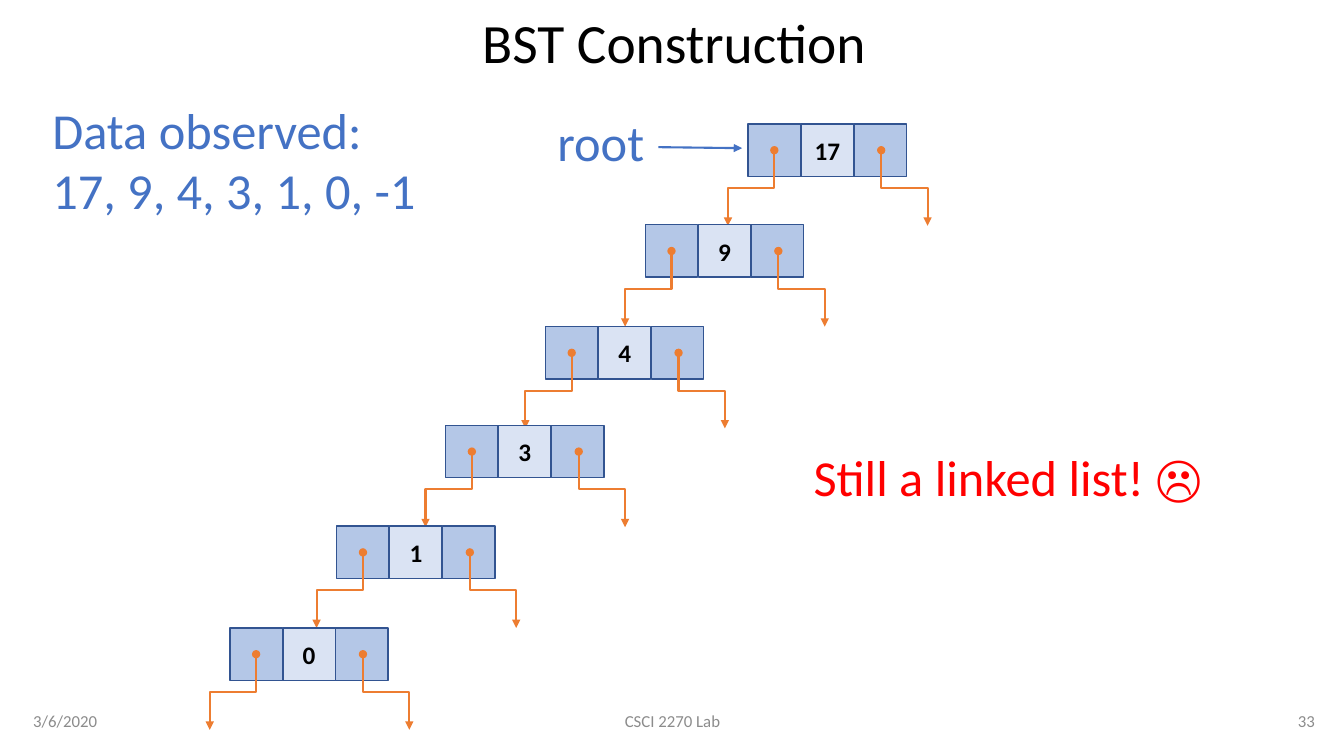
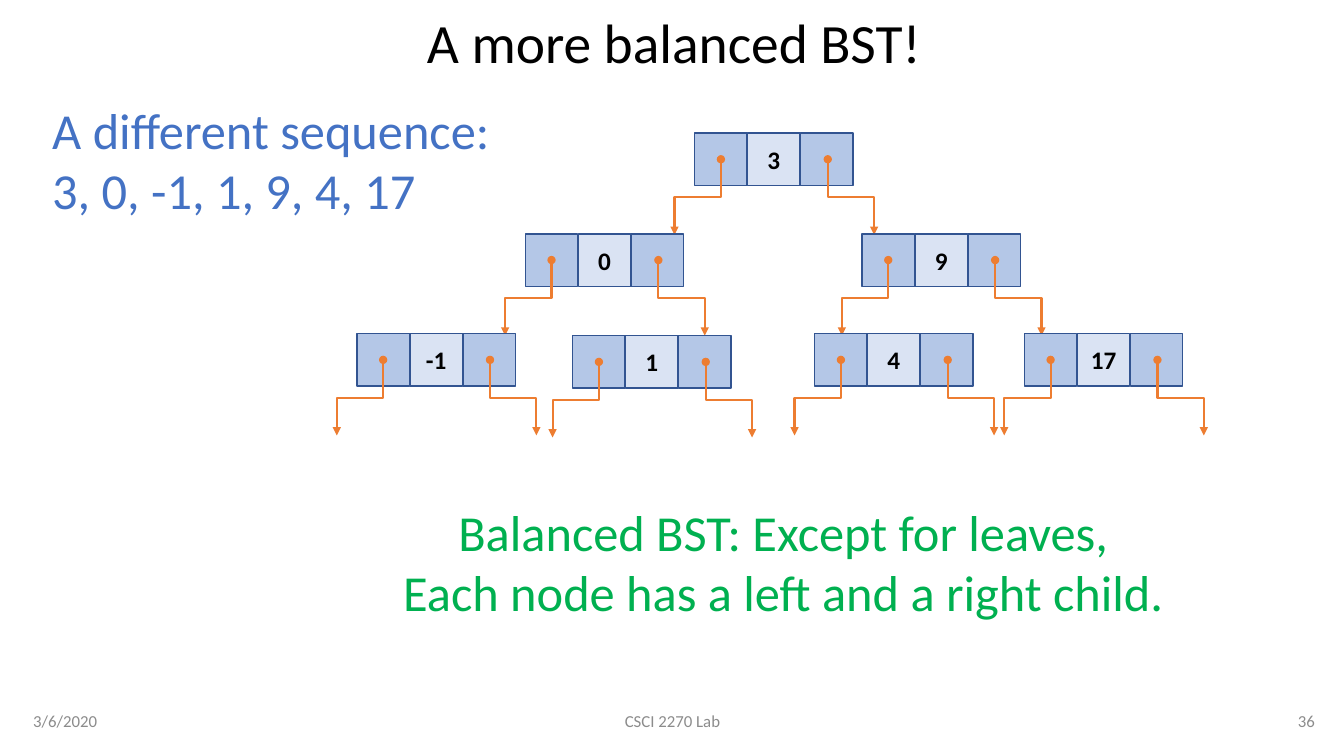
from lxml import etree
from pptx import Presentation
from pptx.dml.color import RGBColor
from pptx.enum.shapes import MSO_CONNECTOR as Connector, MSO_SHAPE as Shape
from pptx.enum.text import MSO_ANCHOR as Anchor, MSO_AUTO_SIZE as AutoSize, PP_ALIGN as Align
from pptx.oxml.ns import qn
from pptx.util import Inches, Pt

FONT = "Calibri"
BLACK, GREY, BLUE, RED, GREEN = "000000", "8C8C8C", "4472C4", "FF0000", "00B050"
POINTER_FILL, VALUE_FILL, CELL_LINE, LINK = "B4C7E7", "DAE3F3", "325491", "ED7D31"

CELL = 0.52        # side of one node cell
PITCH = 0.525      # distance between the left edges of neighbouring cells
LINK_WIDTH, LINK_HEIGHT = 0.46, 0.75
LINK_STARTS = 0.26, 1.32   # left and right pointer dots, from the node's left edge

CHAIN = [("17", 7.42, 1.23), ("9", 6.4, 2.23), ("4", 5.41, 3.24),
         ("3", 4.42, 4.22), ("1", 3.34, 5.22), ("0", 2.28, 6.23)]
BALANCED = [("3", 6.89, 1.32), ("0", 5.21, 2.32), ("9", 8.55, 2.32),
            ("-1", 3.54, 3.31), ("1", 5.68, 3.33), ("4", 8.08, 3.31), ("17", 10.16, 3.31)]


def color(hex_code):
    return RGBColor.from_string(hex_code)


def place(shape, left, top, width, height):
    shape.left, shape.top = Inches(left), Inches(top)
    shape.width, shape.height = Inches(width), Inches(height)


def write(frame, lines, size, hex_code, align=Align.LEFT, bold=False, spacing=None):
    for index, line in enumerate(lines):
        paragraph = frame.add_paragraph() if index else frame.paragraphs[0]
        paragraph.alignment = align
        paragraph.line_spacing = spacing
        run = paragraph.add_run()
        run.text = line
        run.font.name, run.font.size, run.font.bold = FONT, Pt(size), bold
        run.font.color.rgb = color(hex_code)


def add_text(slide, box, lines, size, hex_code, align=Align.LEFT, anchor=Anchor.TOP):
    frame = slide.shapes.add_textbox(*map(Inches, box)).text_frame
    frame.word_wrap = True
    frame.vertical_anchor = anchor
    write(frame, lines, size, hex_code, align)


def add_titled_slide(deck, title_text, number):
    """Add a slide with the shared title and footer."""
    slide = deck.slides.add_slide(deck.slide_layouts[5])
    title = slide.shapes.title
    place(title, 0.23, 0.15, 12.91, 0.6)
    title.text_frame.auto_size = AutoSize.NONE
    title.text_frame.vertical_anchor = Anchor.MIDDLE
    write(title.text_frame, [title_text], 39.6, BLACK, Align.CENTER, spacing=0.9)
    for text, left, width, align in (("3/6/2020", 0.23, 3, Align.LEFT),
                                     ("CSCI 2270 Lab", 4.42, 4.5, Align.CENTER),
                                     (number, 10.14, 3, Align.RIGHT)):
        add_text(slide, (left, 6.95, width, 0.4), [text], 12, GREY, align, Anchor.MIDDLE)
    return slide


def add_arrow(shapes, kind, start, end, hex_code, dot=False):
    arrow = shapes.add_connector(kind, *map(Inches, (*start, *end)))
    arrow.line.width = Pt(1.5)
    arrow.line.color.rgb = color(hex_code)
    line = arrow.line._get_or_add_ln()
    if dot:
        etree.SubElement(line, qn("a:headEnd"), type="oval")
    etree.SubElement(line, qn("a:tailEnd"), type="triangle")
    etree.SubElement(arrow._element.spPr, qn("a:effectLst"))
    return arrow


def add_child_link(shapes, x, y, side):
    """Draw a down-across-down link from (x, y); side is -1 for left, 1 for right."""
    middle_x, middle_y = x + side * LINK_WIDTH / 2, y + LINK_HEIGHT / 2
    # The elbow lies on its side before it is turned upright.
    reach = side * LINK_HEIGHT / 2
    link = add_arrow(shapes, Connector.ELBOW,
                     (middle_x + reach, middle_y - LINK_WIDTH / 2),
                     (middle_x - reach, middle_y + LINK_WIDTH / 2), LINK, dot=True)
    degrees = 90 if side < 0 else 270
    link._element.spPr.find(qn("a:xfrm")).set("rot", str(degrees * 60000))


def add_cell(shapes, left, top, fill):
    cell = shapes.add_shape(Shape.RECTANGLE, *map(Inches, (left, top, CELL, CELL)))
    cell.shadow.inherit = False
    cell.fill.solid()
    cell.fill.fore_color.rgb = color(fill)
    cell.line.color.rgb = color(CELL_LINE)
    cell.line.width = Pt(1)
    return cell


def add_node(slide, value, left, top):
    shapes = slide.shapes.add_group_shape().shapes
    _, value_cell, _ = [add_cell(shapes, left + column * PITCH, top, fill)
                        for column, fill in enumerate((POINTER_FILL, VALUE_FILL, POINTER_FILL))]
    frame = value_cell.text_frame
    frame.margin_left = frame.margin_right = 0
    frame.vertical_anchor = Anchor.MIDDLE
    write(frame, [value], 18, BLACK, Align.CENTER, bold=True)
    for start, side in zip(LINK_STARTS, (-1, 1)):
        add_child_link(shapes, left + start, top + CELL / 2, side)


def add_tree(slide, nodes):
    for value, left, top in nodes:
        add_node(slide, value, left, top)


def build_chain_slide(deck):
    slide = add_titled_slide(deck, "BST Construction", "33")
    add_text(slide, (0.42, 0.93, 3.88, 1.31), ["Data observed: 17, 9, 4, 3, 1, 0, -1"], 36, BLUE)
    add_tree(slide, CHAIN)
    add_arrow(slide.shapes, Connector.STRAIGHT, (6.53, 1.46), (7.36, 1.47), BLUE)
    add_text(slide, (5.43, 1.05, 1.29, 0.71), ["root"], 36, BLUE)
    add_text(slide, (7.97, 4.38, 4.19, 0.71), ["Still a linked list! ☹"], 36, RED)


def build_balanced_slide(deck):
    slide = add_titled_slide(deck, "A more balanced BST!", "36")
    add_text(slide, (0.42, 0.93, 4.7, 1.31),
             ["A different sequence: 3, 0, -1, 1, 9, 4, 17"], 36, BLUE)
    add_tree(slide, BALANCED)
    add_text(slide, (3.81, 4.92, 7.92, 1.31),
             ["Balanced BST: Except for leaves,", "Each node has a left and a right child."],
             36, GREEN, Align.CENTER)


def main():
    deck = Presentation()
    deck.slide_width, deck.slide_height = Inches(13.33), Inches(7.5)
    build_chain_slide(deck)
    build_balanced_slide(deck)
    deck.save("out.pptx")


if __name__ == "__main__":
    main()
